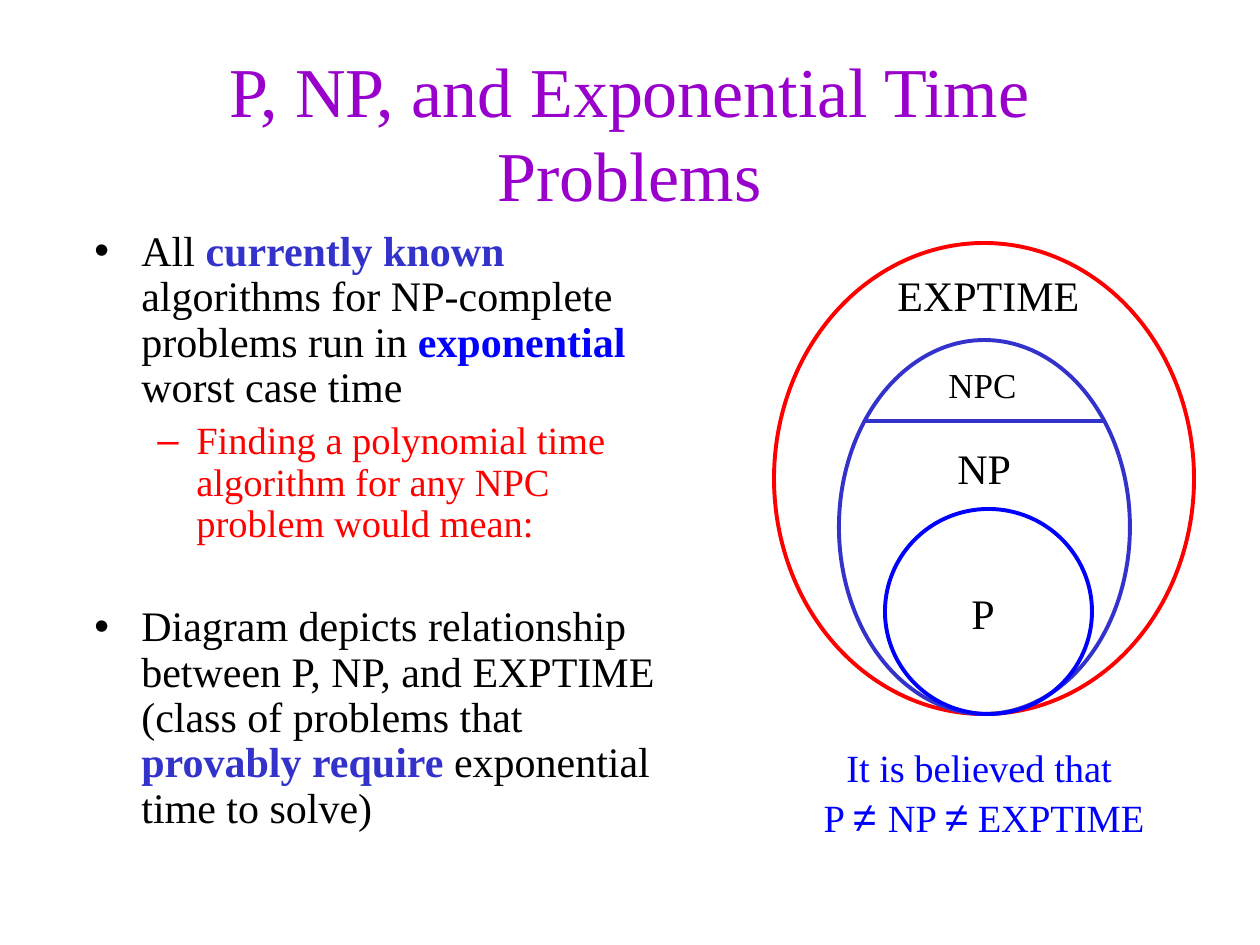
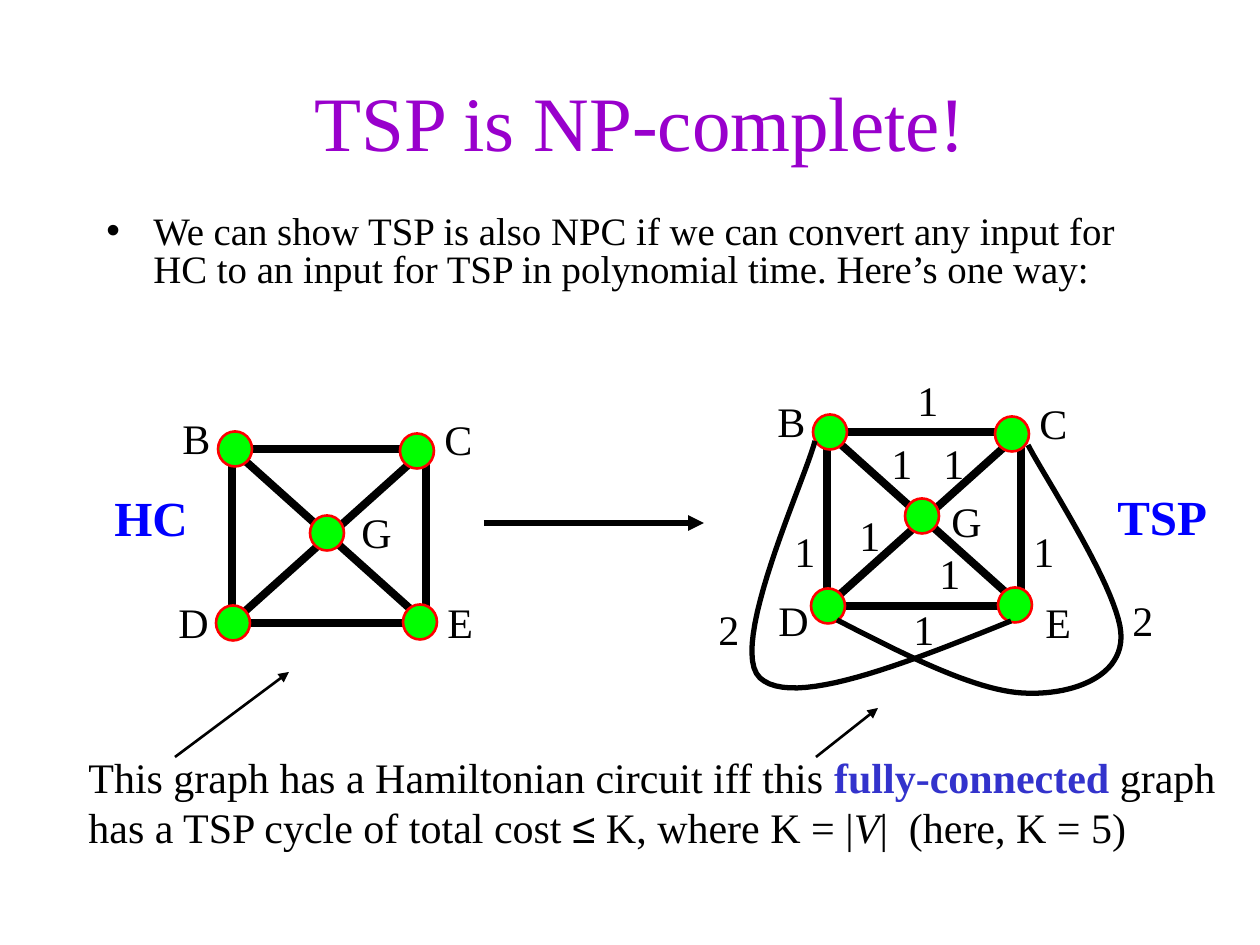
import pptx
import pptx.dml.color
import pptx.enum.shapes
import pptx.enum.text
import pptx.oxml
import pptx.oxml.ns
import pptx.util

PX = 914400 / 126
SERIF = "Times New Roman"
COLORS = {"title": "9900CC", "text": "000000", "indigo": "3333CC", "blue": "0000FF",
          "red": "FF0000", "green": "00FF00"}
SHAPES = pptx.enum.shapes.MSO_SHAPE
ALIGN = pptx.enum.text.PP_ALIGN
TITLE_SIZE = (1071, 158)

# A run is plain text or (text, format); a paragraph is a list of runs.
INDIGO_BOLD = {"color": "indigo", "bold": True}
BULLET = {"bullet": "•", "margin": 47, "indent": -47}
DASH = {"bullet": "–", "margin": 102, "indent": -39}

CLASSES_TITLE = "P, NP, and Exponential Time Problems"
CLASSES_BODY = [
    (["All ", ("currently known", INDIGO_BOLD),
      " algorithms for NP-complete problems run in ",
      ("exponential", {"color": "blue", "bold": True}), " worst case time"],
     {"before": 6, **BULLET}),
    (["Finding a polynomial time algorithm for any NPC problem would mean:"],
     {"before": 5.5, "size": 22, "color": "red", **DASH}),
    (["Diagram depicts relationship between P, NP, and EXPTIME (class of problems that ",
      ("provably require", INDIGO_BOLD), " exponential time to solve)"],
     {"before": 34, **BULLET}),
]
NOT_EQUAL = {"size": 24, "font": "Arial"}
BELIEF = [
    (["It is believed that "], {}),
    (["P ", ("≠ ", NOT_EQUAL), "NP ", ("≠", NOT_EQUAL), " EXPTIME"], {}),
]
CLASS_ELLIPSES = [
    ((774, 243, 420, 471), "red"),
    ((839, 340, 291, 374), "indigo"),
    ((885, 509, 207, 205), "blue"),
]
CLASS_LABELS = [
    ("EXPTIME", (885, 263, 207, 63), 24),
    ("NP", (945, 436, 78, 63), 24),
    ("P", (959, 581, 48, 63), 24),
    ("NPC", (936, 357, 93, 55), 20),
]

TSP_TITLE = "TSP is NP-complete!"
TSP_BODY = [
    (["We can show TSP is also NPC if we can convert any input for HC to an input "
      "for TSP in polynomial time. Here’s one way:"], {"before": 6, **BULLET}),
]
CLAIM = [
    (["This graph has a Hamiltonian circuit iff this ",
      ("fully-connected", INDIGO_BOLD), " graph"], {}),
    (["has a TSP cycle of total cost ", ("≤", {"font": "Arial"}),
      " K, where K = |", ("V", {"italic": True}), "|  (here, K = 5)"], {}),
]
GRAPH_SIZE = (194, 174)
NODE_SIZE = (34, 35)
NODE_CENTERS = [(3, 0), (185, 2), (1, 174), (188, 173), (95, 84)]
GRAPHS = [  # top left corner, places of the node labels
    ((232, 449), {"B": (170, 406), "C": (432, 407), "D": (166, 590),
                  "E": (435, 590), "G": (349, 500)}),
    ((827, 432), {"B": (765, 389), "C": (1027, 391), "D": (766, 588),
                  "E": (1033, 590), "G": (939, 489)}),
]
EDGE_WEIGHTS = {
    "1": [(782, 519), (1021, 519), (901, 597), (879, 431), (905, 368), (847, 503),
          (931, 431), (927, 541)],
    "2": [(706, 597), (1120, 588)],
}
LONG_EDGES = [  # start point, then two control points and an end point per curve
    [(1011, 621), (902, 665), (793, 708), (760, 678), (727, 648), (805, 480), (815, 441)],
    [(837, 620), (905, 655), (974, 690), (1022, 693), (1068, 696), (1120, 679),
     (1121, 638), (1123, 596), (1045, 478), (1028, 445)],
]
ARROWS = [((175, 757), (289, 672), 1.5), ((816, 757), (878, 708), 1.5),
          ((484, 523), (704, 523), 3)]
PROBLEM_NAMES = [("HC", (102, 481, 98, 72)), ("TSP", (1105, 480, 115, 72))]


def emu(*lengths):
    return [round(length * PX) for length in lengths]


def rgb(name):
    return pptx.dml.color.RGBColor.from_string(COLORS[name])


def add_xml(parent, xml):
    namespace = pptx.oxml.ns.nsdecls("a")
    parent.append(pptx.oxml.parse_xml(xml.replace("/>", f" {namespace}/>", 1)
                                      if xml.count("<") == 1
                                      else xml.replace(">", f" {namespace}>", 1)))


def set_bullet(paragraph, character, color, margin, indent):
    properties = paragraph._p.get_or_add_pPr()
    properties.set("marL", str(emu(margin)[0]))
    properties.set("indent", str(emu(indent)[0]))
    add_xml(properties, f'<a:buClr><a:srgbClr val="{COLORS[color]}"/></a:buClr>')
    add_xml(properties, '<a:buFont typeface="Arial"/>')
    add_xml(properties, f'<a:buChar char="{character}"/>')


def write(frame, paragraphs, wrap=True, anchor="TOP", **shared):
    """Fill a text frame; formats of paragraphs and runs override the shared one."""
    frame.word_wrap = wrap
    frame.auto_size = pptx.enum.text.MSO_AUTO_SIZE.NONE
    frame.vertical_anchor = pptx.enum.text.MSO_ANCHOR[anchor]
    if isinstance(paragraphs, str):
        paragraphs = [([paragraphs], {})]
    for number, (runs, own) in enumerate(paragraphs):
        style = {"size": 24, "color": "text", "font": SERIF, "align": ALIGN.LEFT,
                 "spacing": 1.0, "before": 0, **shared, **own}
        paragraph = frame.add_paragraph() if number else frame.paragraphs[0]
        paragraph.alignment = style["align"]
        paragraph.line_spacing = style["spacing"]
        paragraph.space_before = pptx.util.Pt(style["before"])
        if "bullet" in style:
            set_bullet(paragraph, style["bullet"], style["color"],
                       style["margin"], style["indent"])
        for item in runs:
            text, run_format = (item, {}) if isinstance(item, str) else item
            look = {**style, **run_format}
            run = paragraph.add_run()
            run.text = text
            run.font.name = look["font"]
            run.font.size = pptx.util.Pt(look["size"])
            run.font.bold = look.get("bold", False)
            run.font.italic = look.get("italic", False)
            run.font.color.rgb = rgb(look["color"])


def add_text(slide, box, paragraphs, **text_format):
    write(slide.shapes.add_textbox(*emu(*box)).text_frame, paragraphs, **text_format)


def add_titled_slide(presentation, title, corner, size):
    slide = presentation.slides.add_slide(presentation.slide_layouts[5])
    placeholder = slide.shapes.title
    placeholder.left, placeholder.top, placeholder.width, placeholder.height = emu(
        *corner, *TITLE_SIZE)
    write(placeholder.text_frame, title, anchor="MIDDLE", size=size, color="title",
          align=ALIGN.CENTER)
    return slide


def outline(shape, color, weight, fill=None):
    shape.shadow.inherit = False
    shape.line.color.rgb = rgb(color)
    shape.line.width = pptx.util.Pt(weight)
    if fill:
        shape.fill.solid()
        shape.fill.fore_color.rgb = rgb(fill)
    else:
        shape.fill.background()


def add_outlined(slide, kind, box, color, weight, fill=None):
    outline(slide.shapes.add_shape(kind, *emu(*box)), color, weight, fill)


def add_line(slide, start, end, color, weight, arrow=False):
    line = slide.shapes.add_connector(pptx.enum.shapes.MSO_CONNECTOR.STRAIGHT,
                                      *emu(*start, *end))
    line.line.color.rgb = rgb(color)
    line.line.width = pptx.util.Pt(weight)
    if arrow:
        add_xml(line.line._get_or_add_ln(), '<a:tailEnd type="triangle"/>')
    add_xml(line._element.spPr, "<a:effectLst/>")


def bezier_points(points, steps=24):
    """Sample a chain of cubic curves that share their end points."""
    sampled = [points[0]]
    for first in range(0, len(points) - 1, 3):
        controls = points[first:first + 4]
        for step in range(1, steps + 1):
            t = step / steps
            weights = ((1 - t) ** 3, 3 * t * (1 - t) ** 2, 3 * t * t * (1 - t), t ** 3)
            sampled.append(tuple(sum(weight * point[axis] for weight, point
                                     in zip(weights, controls)) for axis in (0, 1)))
    return sampled


def add_curve(slide, points):
    start, *rest = [emu(*point) for point in bezier_points(points)]
    builder = slide.shapes.build_freeform(*start)
    builder.add_line_segments(rest, close=False)
    outline(builder.convert_to_shape(), "text", 3)


def add_graph(slide, corner, labels):
    left, top = corner
    width, height = GRAPH_SIZE
    right, bottom = left + width, top + height
    add_outlined(slide, SHAPES.RECTANGLE, (left, top, width, height), "text", 4.5)
    add_line(slide, (left, top), (right, bottom), "text", 4.5)
    add_line(slide, (left, bottom), (right, top), "text", 4.5)
    node_width, node_height = NODE_SIZE
    for x, y in NODE_CENTERS:
        box = (left + x - node_width / 2, top + y - node_height / 2, *NODE_SIZE)
        add_outlined(slide, SHAPES.OVAL, box, "red", 1.5, fill="green")
    for name, place in labels.items():
        add_text(slide, (*place, 53, 63), name, wrap=False)


def build_classes_slide(presentation):
    slide = add_titled_slide(presentation, CLASSES_TITLE, (94, 53), 40)
    add_text(slide, (82, 224, 597, 638), CLASSES_BODY, spacing=0.9)
    add_text(slide, (800, 738, 368, 110), BELIEF, wrap=False, size=22, color="blue",
             align=ALIGN.CENTER)
    for box, color in CLASS_ELLIPSES:
        add_outlined(slide, SHAPES.OVAL, box, color, 2.25)
    add_line(slide, (864, 421), (1104, 421), "indigo", 2.25)
    for name, box, size in CLASS_LABELS:
        add_text(slide, box, name, wrap=False, size=size)


def build_tsp_slide(presentation):
    slide = add_titled_slide(presentation, TSP_TITLE, (105, 42), 44)
    add_text(slide, (94, 210, 1056, 123), TSP_BODY, size=22.2, spacing=0.8)
    for corner, labels in GRAPHS:
        add_graph(slide, corner, labels)
    for points in LONG_EDGES:
        add_curve(slide, points)
    add_text(slide, (76, 745, 1163, 113), CLAIM, wrap=False)
    for start, end, weight in ARROWS:
        add_line(slide, start, end, "text", weight, arrow=True)
    for name, box in PROBLEM_NAMES:
        add_text(slide, box, name, wrap=False, size=28, color="blue", bold=True)
    for weight, places in EDGE_WEIGHTS.items():
        for place in places:
            add_text(slide, (*place, 45, 63), weight, wrap=False)


def main():
    presentation = pptx.Presentation()
    presentation.slide_width, presentation.slide_height = emu(1260, 945)
    build_classes_slide(presentation)
    build_tsp_slide(presentation)
    presentation.save("out.pptx")


if __name__ == "__main__":
    main()
